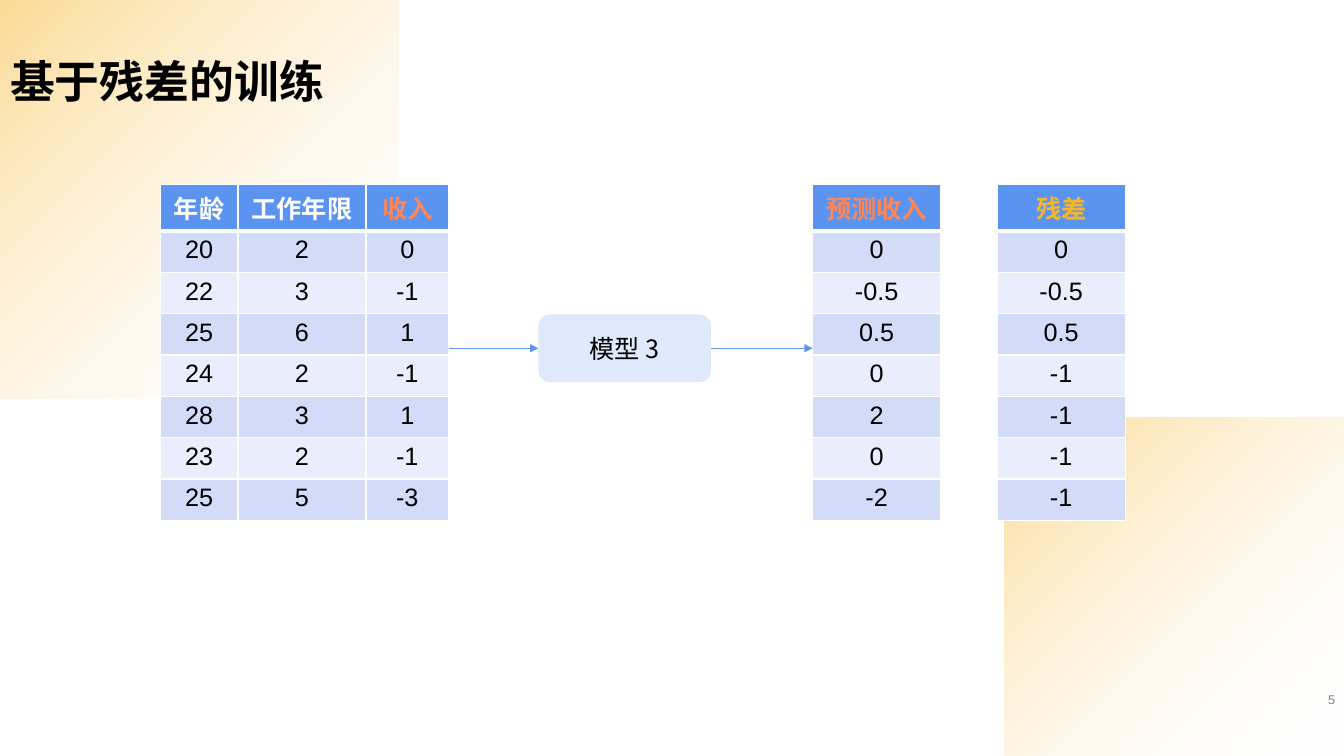
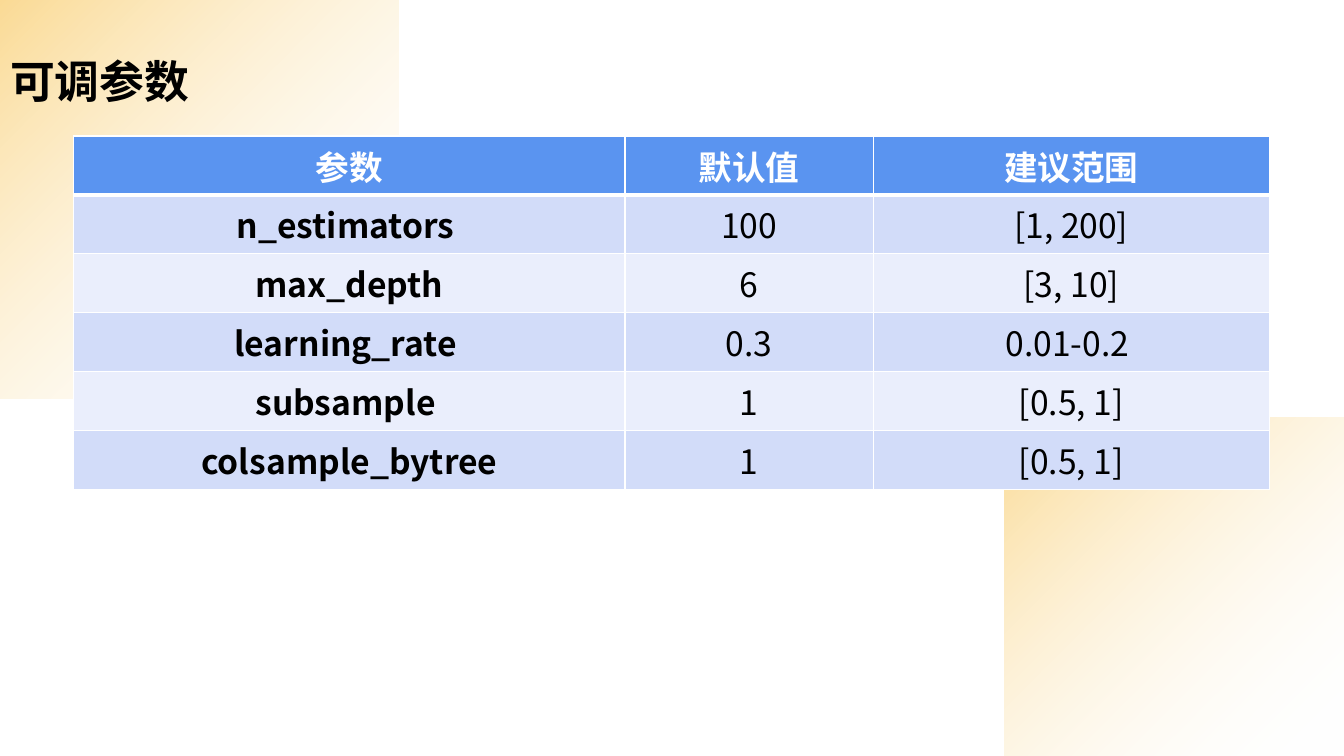
from dataclasses import dataclass

from lxml.etree import SubElement
from pptx import Presentation
from pptx.dml.color import RGBColor
from pptx.enum.shapes import MSO_CONNECTOR as Connector, MSO_SHAPE as Preset
from pptx.enum.text import MSO_ANCHOR as Anchor, PP_ALIGN as Align
from pptx.oxml import parse_xml
from pptx.oxml.ns import nsdecls, qn
from pptx.slide import Slide, SlideLayout
from pptx.util import Inches, Pt

ARIAL = "Arial"
NOTO = "Noto Sans CJK SC"
BLACK, WHITE, GRAY = "000000", "FFFFFF", "808080"
BLUE, PALE_BLUE = "5A94F0", "DEEAFC"
BANDS = ("D2DCF9", "EAEEFC")
ORANGE, GOLD = "FF8657", "F7B629"
SLIDE_WIDTH, SLIDE_HEIGHT = 13.33, 7.5
TITLE_HEIGHT = 1.12


@dataclass(frozen=True)
class Box:
    """A rectangle in inches."""

    left: float
    top: float
    width: float
    height: float

    @property
    def right(self) -> float:
        return self.left + self.width

    @property
    def middle(self) -> float:
        return self.top + self.height / 2

    def lengths(self) -> tuple:
        return tuple(map(Inches, (self.left, self.top, self.width, self.height)))


@dataclass(frozen=True)
class Corner:
    """A square of the background that fades out from gold."""

    box: Box
    flipped: bool = False


@dataclass(frozen=True)
class Grid:
    """A banded table; its first row is the header."""

    left: float
    top: float
    columns: tuple[float, ...]
    row_height: float
    rows: tuple[tuple[str, ...], ...]
    header_colors: tuple[str, ...]
    font: str = ARIAL
    size: float = 18
    bold_first_column: bool = False

    @property
    def box(self) -> Box:
        return Box(self.left, self.top, sum(self.columns), self.row_height * len(self.rows))


CORNERS = (
    Corner(Box(0, 0, 3.95, 3.95)),
    Corner(Box(9.96, 4.14, 3.37, 3.37), flipped=True),
)

RESIDUAL_TOP, RESIDUAL_ROW = 1.83, 0.41
TRAINING = Grid(
    1.59, RESIDUAL_TOP, (0.77, 1.27, 0.82), RESIDUAL_ROW,
    (
        ("年龄", "工作年限", "收入"),
        ("20", "2", "0"),
        ("22", "3", "-1"),
        ("25", "6", "1"),
        ("24", "2", "-1"),
        ("28", "3", "1"),
        ("23", "2", "-1"),
        ("25", "5", "-3"),
    ),
    (WHITE, WHITE, ORANGE),
)
PREDICTION = Grid(
    8.06, RESIDUAL_TOP, (1.27,), RESIDUAL_ROW,
    (("预测收入",), ("0",), ("-0.5",), ("0.5",), ("0",), ("2",), ("0",), ("-2",)),
    (ORANGE,),
)
RESIDUAL = Grid(
    9.89, RESIDUAL_TOP, (1.27,), RESIDUAL_ROW,
    (("残差",), ("0",), ("-0.5",), ("0.5",), ("-1",), ("-1",), ("-1",), ("-1",)),
    (GOLD,),
)
MODEL_BOX = Box(5.34, 3.12, 1.71, 0.67)
PAGE_NUMBER_BOX = Box(10.55, 6.82, 2.79, 0.23)

PARAMETERS = Grid(
    0.73, 1.35, (5.47, 2.46, 3.93), 0.41,
    (
        ("参数", "默认值", "建议范围"),
        ("n_estimators ", "100", "[1, 200]"),
        ("max_depth", "6", "[3, 10]"),
        ("learning_rate ", "0.3", "0.01-0.2 "),
        ("subsample ", "1", "[0.5, 1]"),
        ("colsample_bytree", "1", "[0.5, 1]"),
    ),
    (WHITE, WHITE, WHITE),
    font=NOTO, size=24, bold_first_column=True,
)


def rgb(color: str) -> RGBColor:
    """Turn a hex string into a colour."""
    return RGBColor.from_string(color)


def write(frame, text: str, size: float, color: str, font: str = ARIAL,
          bold: bool = False, align: Align = Align.CENTER):
    """Fill a text frame with one formatted paragraph and return it."""
    frame.text = text
    paragraph = frame.paragraphs[0]
    paragraph.alignment = align
    paragraph.font.size = Pt(size)
    paragraph.font.name = font
    paragraph.font.bold = bold
    paragraph.font.color.rgb = rgb(color)
    return paragraph


def add_corner(slide: Slide, layout: SlideLayout, corner: Corner) -> None:
    """Draw a fading square and move it to the back of the layout."""
    shape = slide.shapes.add_shape(Preset.RECTANGLE, *corner.box.lengths())
    shape.shadow.inherit = False
    shape.line.fill.background()
    properties = shape.element.spPr
    if corner.flipped:
        properties.xfrm.set("flipH", "1")
        properties.xfrm.set("flipV", "1")
    gradient = parse_xml(
        f'<a:gradFill {nsdecls("a")} rotWithShape="1"><a:gsLst>'
        f'<a:gs pos="0"><a:srgbClr val="{GOLD}"><a:alpha val="50000"/></a:srgbClr></a:gs>'
        f'<a:gs pos="100000"><a:srgbClr val="{WHITE}"><a:alpha val="0"/></a:srgbClr></a:gs>'
        '</a:gsLst><a:path path="circle"><a:fillToRect r="100000" b="100000"/></a:path>'
        "</a:gradFill>"
    )
    properties.find(qn("a:prstGeom")).addnext(gradient)
    layout.shapes.element.insert(2, shape.element)


def set_title(slide: Slide, text: str, width: float) -> None:
    """Place and format the title placeholder."""
    title = slide.shapes.title
    title.left, title.top, title.width, title.height = Box(0, 0, width, TITLE_HEIGHT).lengths()
    title.text_frame.vertical_anchor = Anchor.BOTTOM
    paragraph = write(title.text_frame, text, 32, BLACK, bold=True, align=Align.LEFT)
    paragraph.line_spacing = 0.9


def set_borders(cell, top: float, bottom: float) -> None:
    """Give a cell white borders with the given top and bottom widths."""
    properties = cell._tc.get_or_add_tcPr()
    for side, width in (("L", 1), ("R", 1), ("T", top), ("B", bottom)):
        line = SubElement(properties, qn(f"a:ln{side}"), w=str(Pt(width)))
        fill = SubElement(line, qn("a:solidFill"))
        SubElement(fill, qn("a:srgbClr"), val=WHITE)


def add_grid(slide: Slide, grid: Grid) -> None:
    """Draw a banded table."""
    frame = slide.shapes.add_table(len(grid.rows), len(grid.columns), *grid.box.lengths())
    table = frame.table
    for column, width in zip(table.columns, grid.columns):
        column.width = Inches(width)
    for row_index, texts in enumerate(grid.rows):
        header = row_index == 0
        table.rows[row_index].height = Inches(grid.row_height)
        for column_index, text in enumerate(texts):
            cell = table.cell(row_index, column_index)
            set_borders(cell, top=3 if row_index == 1 else 1, bottom=3 if header else 1)
            cell.fill.solid()
            cell.fill.fore_color.rgb = rgb(BLUE if header else BANDS[(row_index - 1) % 2])
            color = grid.header_colors[column_index] if header else BLACK
            bold = header or (grid.bold_first_column and column_index == 0)
            write(cell.text_frame, text, grid.size, color, grid.font, bold)


def add_model(slide: Slide, text: str):
    """Draw the rounded model box and return it."""
    shape = slide.shapes.add_shape(Preset.ROUNDED_RECTANGLE, *MODEL_BOX.lengths())
    shape.shadow.inherit = False
    shape.fill.solid()
    shape.fill.fore_color.rgb = rgb(PALE_BLUE)
    shape.line.fill.background()
    shape.text_frame.vertical_anchor = Anchor.MIDDLE
    write(shape.text_frame, text, 18, BLACK, NOTO)
    return shape


def add_arrow(slide: Slide, start: float, end: float):
    """Draw a level arrow through the middle of the model box."""
    middle = Inches(MODEL_BOX.middle)
    arrow = slide.shapes.add_connector(
        Connector.STRAIGHT, Inches(start), middle, Inches(end), middle)
    arrow.line.color.rgb = rgb(BLUE)
    arrow.line.width = Pt(0.5)
    SubElement(arrow.line._get_or_add_ln(), qn("a:tailEnd"), type="triangle")
    SubElement(arrow.element.spPr, qn("a:effectLst"))
    return arrow


def add_page_number(slide: Slide, number: str) -> None:
    """Write the page number at the lower right."""
    frame = slide.shapes.add_textbox(*PAGE_NUMBER_BOX.lengths()).text_frame
    frame.word_wrap = True
    frame.vertical_anchor = Anchor.MIDDLE
    write(frame, number, 9, GRAY, align=Align.RIGHT)


def build_residual_slide(slide: Slide) -> None:
    """Show training on residuals."""
    set_title(slide, "基于残差的训练", 11.88)
    for grid in (TRAINING, PREDICTION, RESIDUAL):
        add_grid(slide, grid)
    model = add_model(slide, "模型 3")
    add_arrow(slide, TRAINING.box.right, MODEL_BOX.left).end_connect(model, 1)
    add_arrow(slide, MODEL_BOX.right, PREDICTION.left).begin_connect(model, 3)
    add_page_number(slide, "5")


def build_parameter_slide(slide: Slide) -> None:
    """Show the tunable parameters."""
    set_title(slide, "可调参数", SLIDE_WIDTH)
    add_grid(slide, PARAMETERS)


def main() -> None:
    """Build and save the presentation."""
    presentation = Presentation()
    presentation.slide_width = Inches(SLIDE_WIDTH)
    presentation.slide_height = Inches(SLIDE_HEIGHT)
    layout = presentation.slide_layouts[5]
    slides = [presentation.slides.add_slide(layout) for _ in range(2)]
    for corner in CORNERS:
        add_corner(slides[0], layout, corner)
    build_residual_slide(slides[0])
    build_parameter_slide(slides[1])
    presentation.save("out.pptx")


if __name__ == "__main__":
    main()
